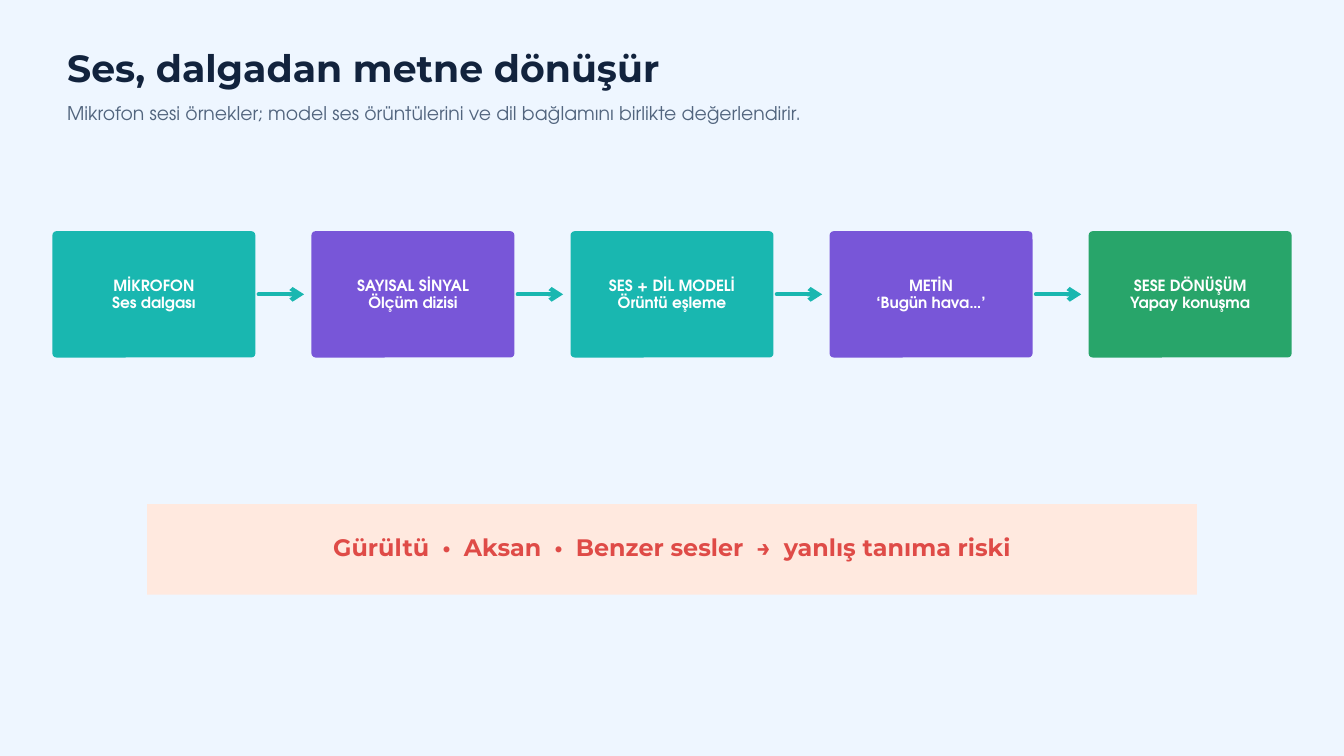
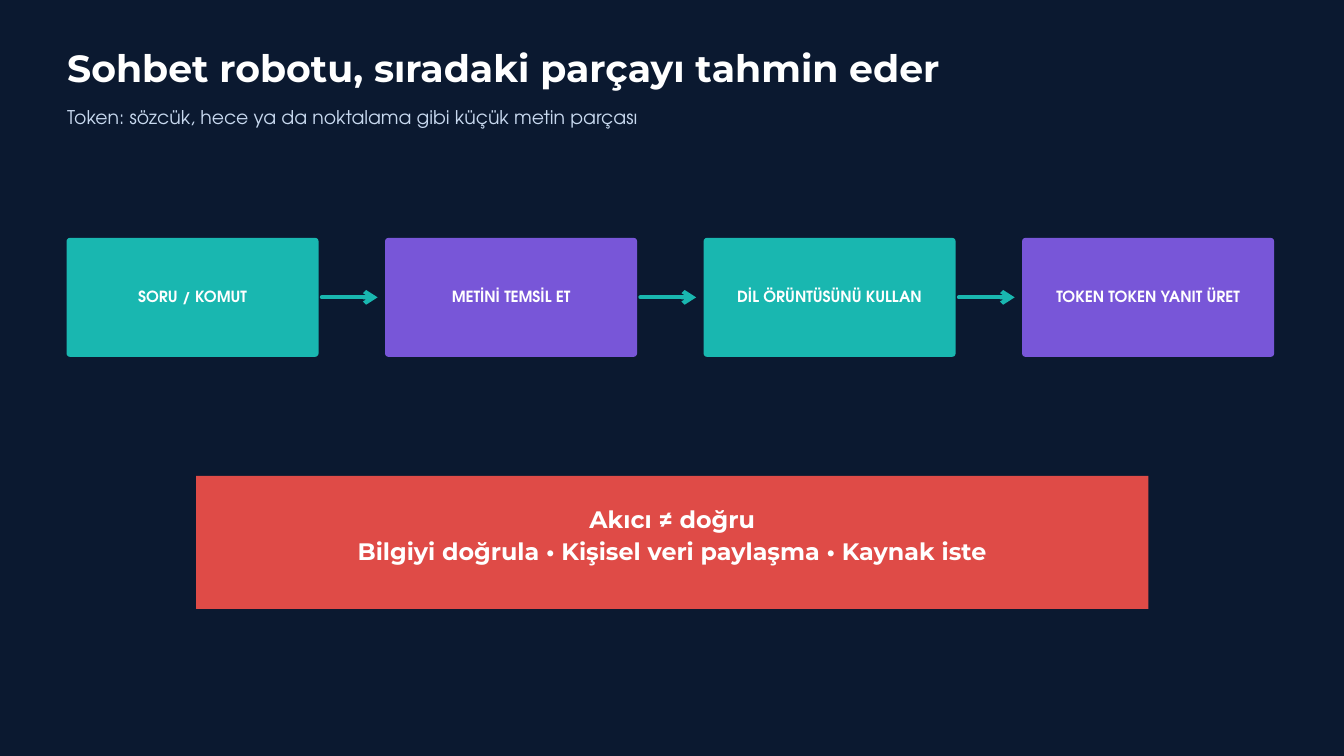
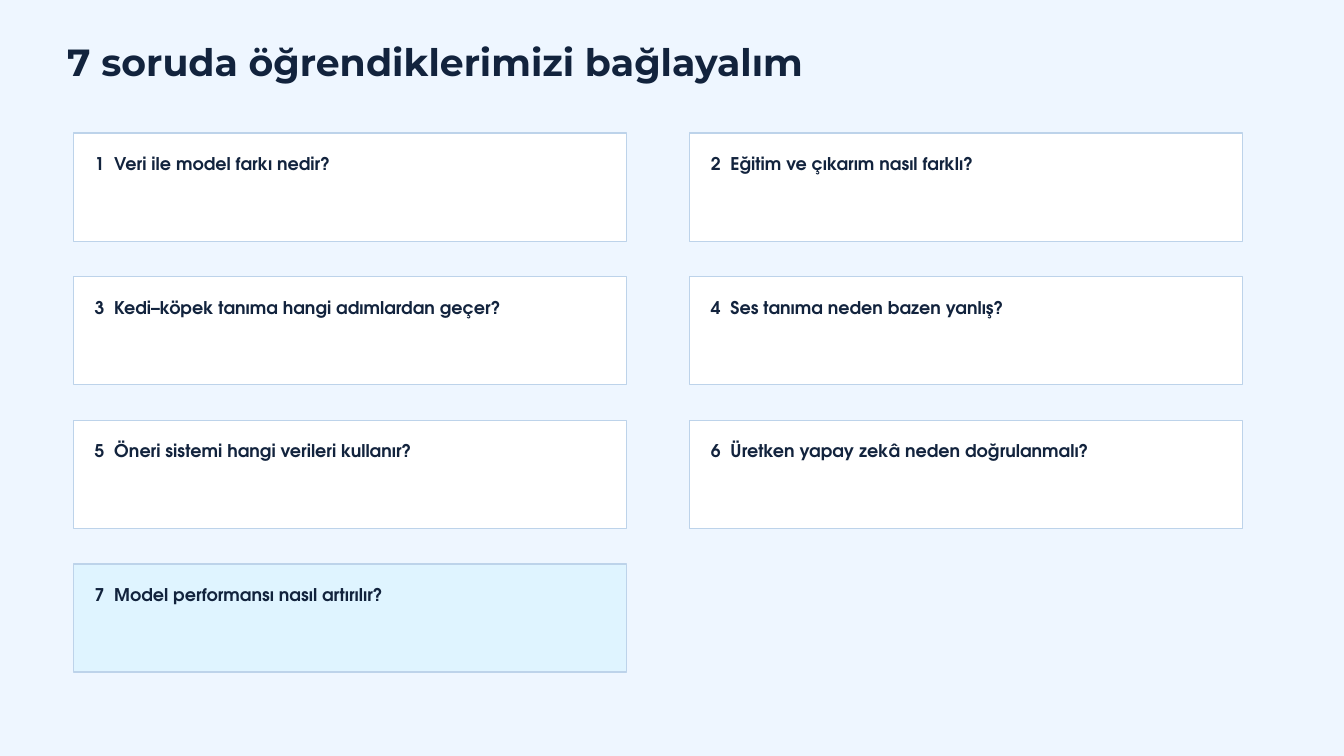
from dataclasses import dataclass

from lxml.etree import SubElement
from pptx import Presentation
from pptx.dml.color import RGBColor
from pptx.enum.shapes import MSO_CONNECTOR, MSO_SHAPE
from pptx.enum.text import MSO_ANCHOR, PP_ALIGN
from pptx.oxml.ns import qn
from pptx.util import Inches, Pt


@dataclass(frozen=True)
class Theme:
    heading_font: str = "Montserrat"
    body_font: str = "TeX Gyre Adventor"
    light: str = "EEF6FF"
    night: str = "0B1930"
    ink: str = "12233D"
    slate: str = "52657E"
    mist: str = "C8D9EF"
    white: str = "FFFFFF"
    teal: str = "19B7B0"
    violet: str = "7856D8"
    green: str = "28A56A"
    red: str = "DF4B47"
    peach: str = "FFE9DF"
    sky: str = "DFF4FF"
    card_edge: str = "BDD3EA"
    title_size: float = 40.5
    subtitle_size: float = 20.2
    callout_size: float = 25.5
    question_size: float = 18.8
    step_size: float = 16.5


@dataclass(frozen=True)
class Style:
    font: str
    size: float
    color: str
    leading: float
    bold: bool = True
    align: PP_ALIGN = PP_ALIGN.LEFT


THEME = Theme()


def rgb(value):
    return RGBColor.from_string(value)


def write(frame, lines, style, insets=(0, 0, 0, 0), anchor=MSO_ANCHOR.TOP):
    frame.word_wrap = True
    frame.vertical_anchor = anchor
    (frame.margin_left, frame.margin_top,
     frame.margin_right, frame.margin_bottom) = map(Inches, insets)
    for index, line in enumerate(lines):
        paragraph = frame.paragraphs[0] if index == 0 else frame.add_paragraph()
        paragraph.alignment = style.align
        paragraph.line_spacing = Pt(style.leading)
        for text, tracking in line:
            run = paragraph.add_run()
            run.text = text
            run.font.name = style.font
            run.font.size = Pt(style.size)
            run.font.bold = style.bold
            run.font.color.rgb = rgb(style.color)
            if tracking:
                run.font._element.set("spc", str(tracking))


def plain(*lines):
    return [[(line, 0)] for line in lines]


def add_panel(slide, box, fill, edge=None, radius=0):
    kind = MSO_SHAPE.ROUNDED_RECTANGLE if radius else MSO_SHAPE.RECTANGLE
    panel = slide.shapes.add_shape(kind, *map(Inches, box))
    panel.shadow.inherit = False
    panel.fill.solid()
    panel.fill.fore_color.rgb = rgb(fill)
    if radius:
        panel.adjustments[0] = radius / min(box[2:])
    if edge:
        panel.line.color.rgb = rgb(edge)
        panel.line.width = Pt(1.5)
    else:
        panel.line.fill.background()
    return panel


def add_arrow(slide, start, end, y):
    arrow = slide.shapes.add_connector(
        MSO_CONNECTOR.STRAIGHT, *map(Inches, (start, y, end, y)))
    arrow.line.color.rgb = rgb(THEME.teal)
    arrow.line.width = Pt(4.5)
    stroke = arrow.line._get_or_add_ln()
    stroke.set("cap", "rnd")
    SubElement(stroke, qn("a:round"))
    SubElement(stroke, qn("a:tailEnd"), type="arrow")
    SubElement(arrow._element.spPr, qn("a:effectLst"))


def add_text(slide, box, text, style):
    write(slide.shapes.add_textbox(*map(Inches, box)).text_frame, plain(text), style)


def add_slide(deck, background, title, title_color, title_top=0.74):
    slide = deck.slides.add_slide(deck.slide_layouts[6])
    slide.background.fill.solid()
    slide.background.fill.fore_color.rgb = rgb(background)
    add_text(slide, (1, title_top, 17.19, 0.61), title,
             Style(THEME.heading_font, THEME.title_size, title_color, 43.7))
    return slide


def add_subtitle(slide, top, text, color, leading):
    add_text(slide, (1, top, 15.1, 0.37), text,
             Style(THEME.body_font, THEME.subtitle_size, color, leading, bold=False))


def add_flow(slide, box, steps, step_width, radius):
    left, top, width, height = box
    pitch = (width - step_width) / (len(steps) - 1)
    style = Style(THEME.body_font, THEME.step_size, THEME.white, 18.1,
                  align=PP_ALIGN.CENTER)
    for index, (fill, *lines) in enumerate(steps):
        x = left + index * pitch
        step = add_panel(slide, (x, top, step_width, height), fill, radius=radius)
        write(step.text_frame, plain(*lines), style, (0.06,) * 4, MSO_ANCHOR.MIDDLE)
        if index < len(steps) - 1:
            add_arrow(slide, x + step_width + 0.05, x + pitch - 0.11, top + height / 2)


def add_callout(slide, box, lines, fill, color, leading, inset):
    callout = add_panel(slide, box, fill)
    style = Style(THEME.heading_font, THEME.callout_size, color, leading,
                  align=PP_ALIGN.CENTER)
    write(callout.text_frame, lines, style, (0.5, inset, 0.5, 0))


def add_questions(slide, box, questions, card_width, card_height):
    left, top, width, height = box
    rows = (len(questions) + 1) // 2
    column_pitch = width - card_width
    row_pitch = (height - card_height) / (rows - 1)
    style = Style(THEME.body_font, THEME.question_size, THEME.ink, 26.2)
    for index, question in enumerate(questions):
        row, column = divmod(index, 2)
        fill = THEME.sky if index == len(questions) - 1 else THEME.white
        card = add_panel(slide, (left + column * column_pitch, top + row * row_pitch,
                                 card_width, card_height), fill, THEME.card_edge)
        write(card.text_frame, plain(f"{index + 1}\t{question}"), style,
              (0.32, 0.25, 0.32, 0))
        hanging = card.text_frame.paragraphs[0]._p.get_or_add_pPr()
        hanging.set("marL", str(Inches(0.29)))
        hanging.set("indent", str(-Inches(0.29)))


def build_speech(deck):
    slide = add_slide(deck, THEME.light, "Ses, dalgadan metne dönüşür", THEME.ink)
    add_subtitle(slide, 1.49, "Mikrofon sesi örnekler; model ses örüntülerini ve dil "
                 "bağlamını birlikte değerlendirir.", THEME.slate, 26.3)
    add_flow(slide, (0.78, 3.44, 18.44, 1.88), [
        (THEME.teal, "MİKROFON", "Ses dalgası"),
        (THEME.violet, "SAYISAL SİNYAL", "Ölçüm dizisi"),
        (THEME.teal, "SES + DİL MODELİ", "Örüntü eşleme"),
        (THEME.violet, "METİN", "‘Bugün hava…’"),
        (THEME.green, "SESE DÖNÜŞÜM", "Yapay konuşma"),
    ], 3.02, 0.06)
    wide = 670
    risks = [("Gürültü", 0), (" •", wide), (" Aksan", 0), (" •", wide),
             (" Benzer sesler", 0), (" →", wide), (" yanlış tanıma riski", 0)]
    add_callout(slide, (2.19, 7.5, 15.62, 1.35), [risks],
                THEME.peach, THEME.red, 35.7, 0.36)


def build_chatbot(deck):
    slide = add_slide(deck, THEME.night, "Sohbet robotu, sıradaki parçayı tahmin eder",
                      THEME.white)
    add_subtitle(slide, 1.52, "Token: sözcük, hece ya da noktalama gibi küçük metin parçası",
                 THEME.mist, 28.4)
    add_flow(slide, (0.99, 3.54, 17.97, 1.77), [
        (THEME.teal, "SORU / KOMUT"),
        (THEME.violet, "METİNİ TEMSİL ET"),
        (THEME.teal, "DİL ÖRÜNTÜSÜNÜ KULLAN"),
        (THEME.violet, "TOKEN TOKEN YANIT ÜRET"),
    ], 3.75, 0.05)
    add_callout(slide, (2.92, 7.08, 14.17, 1.98),
                plain("Akıcı ≠ doğru",
                      "Bilgiyi doğrula • Kişisel veri paylaşma • Kaynak iste"),
                THEME.red, THEME.white, 34.4, 0.38)


def build_review(deck):
    slide = add_slide(deck, THEME.light, "7 soruda öğrendiklerimizi bağlayalım",
                      THEME.ink, title_top=0.64)
    add_questions(slide, (1.09, 1.98, 17.4, 8.02), [
        "Veri ile model farkı nedir?",
        "Eğitim ve çıkarım nasıl farklı?",
        "Kedi–köpek tanıma hangi adımlardan geçer?",
        "Ses tanıma neden bazen yanlış?",
        "Öneri sistemi hangi verileri kullanır?",
        "Üretken yapay zekâ neden doğrulanmalı?",
        "Model performansı nasıl artırılır?",
    ], 8.23, 1.61)


def main():
    deck = Presentation()
    deck.slide_width = Inches(20)
    deck.slide_height = Inches(11.25)
    build_speech(deck)
    build_chatbot(deck)
    build_review(deck)
    deck.save("out.pptx")


if __name__ == "__main__":
    main()
